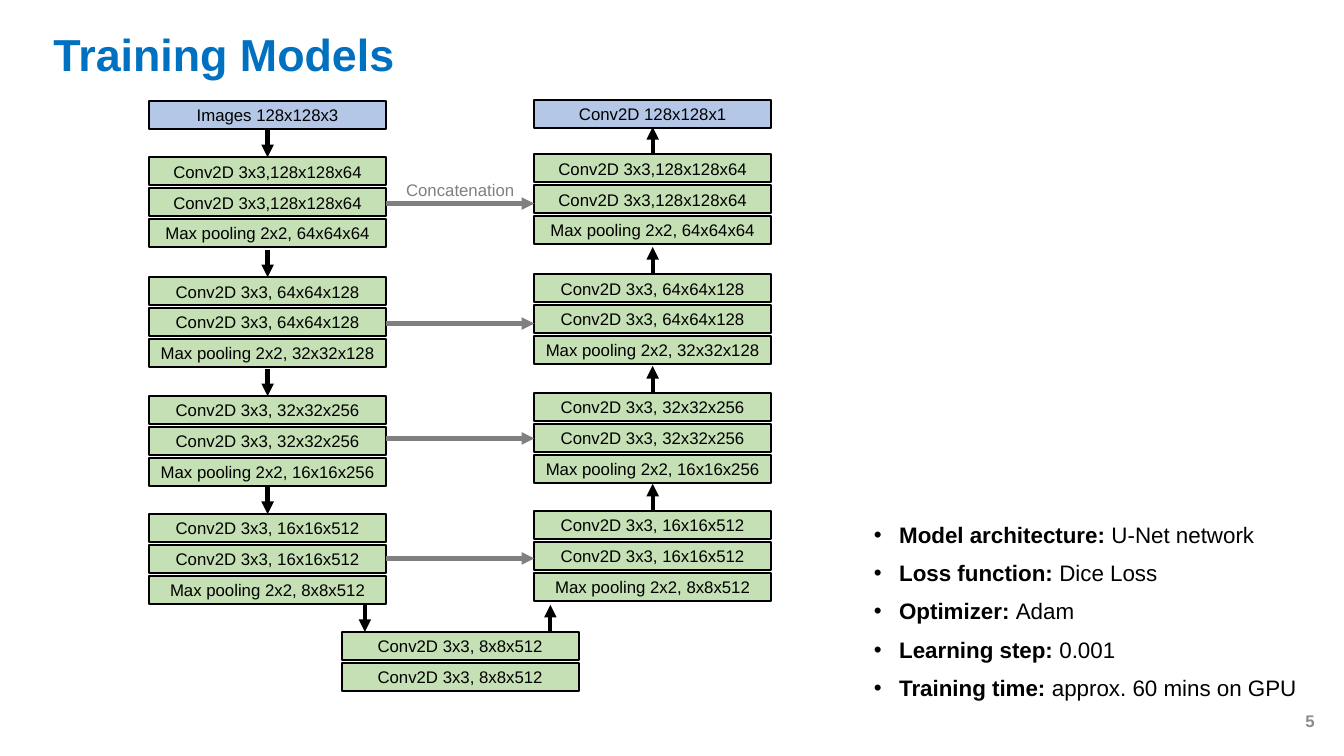
from dataclasses import dataclass

from lxml import etree
from pptx import Presentation
from pptx.dml.color import RGBColor
from pptx.enum.shapes import MSO_CONNECTOR, MSO_SHAPE
from pptx.enum.text import MSO_ANCHOR, MSO_AUTO_SIZE, PP_ALIGN
from pptx.oxml.ns import qn
from pptx.util import Inches, Pt

RECT = MSO_SHAPE.RECTANGLE
LINE = MSO_CONNECTOR.STRAIGHT
MIDDLE, TOP = MSO_ANCHOR.MIDDLE, MSO_ANCHOR.TOP
LEFT, CENTER, RIGHT = PP_ALIGN.LEFT, PP_ALIGN.CENTER, PP_ALIGN.RIGHT
NO_FIT = MSO_AUTO_SIZE.NONE


@dataclass(frozen=True)
class Theme:
    font: str = "Arial"
    title: str = "0070C0"
    ink: str = "000000"
    gray: str = "808080"
    page: str = "8C8C8C"
    blue: str = "B4C7E7"
    green: str = "C5E0B4"
    head: int = 32
    body: int = 16
    label: int = 12
    edge: float = 1.5
    arrow: int = 3


@dataclass(frozen=True)
class Tier:
    row: float
    skip: float
    layers: tuple[str, ...]


@dataclass(frozen=True)
class Arrow:
    x1: float
    y1: float
    x2: float
    y2: float
    color: str


THEME = Theme()

# Grid: ten columns and ten rows to the inch
CELL = Inches(0.1)
COLS, ROWS = 133.33, 75
DOWN, UP = 14.8, 53
WIDE, HIGH = 23.5, 2.8
STEP, GAP, LIFT = 3.07, 2.7, 0.3
BASE_COL, BASE_ROW = 33.9, 62.7

CONV = "Conv2D 3x3,128x128x64"
BASE = "Conv2D 3x3, 8x8x512"
TIERS = (
    Tier(15.6, 20.2, (CONV, CONV, "Max pooling 2x2, 64x64x64")),
    Tier(27.5, 32.1, ("Conv2D 3x3, 64x64x128",) * 2 + ("Max pooling 2x2, 32x32x128",)),
    Tier(39.3, 43.5, ("Conv2D 3x3, 32x32x256",) * 2 + ("Max pooling 2x2, 16x16x256",)),
    Tier(51.0, 55.4, ("Conv2D 3x3, 16x16x512",) * 2 + ("Max pooling 2x2, 8x8x512",)),
)
FACTS = (
    ("Model architecture: ", "U-Net network"),
    ("Loss function: ", "Dice Loss"),
    ("Optimizer: ", "Adam"),
    ("Learning step: ", "0.001"),
    ("Training time: ", "approx. 60 mins on GPU"),
)


def grid(cells: float) -> int:
    return round(cells * CELL)


def put(item, values: dict) -> None:
    for name, value in values.items():
        setattr(item, name, value)


def place(shape, x: float, y: float, w: float, h: float) -> None:
    put(shape, {"left": grid(x), "top": grid(y), "width": grid(w), "height": grid(h)})


def write(para, text: str, size: int, color: str, bold: bool = False) -> None:
    run = para.add_run()
    run.text = text
    put(run.font, {"name": THEME.font, "size": Pt(size), "bold": bold})
    run.font.color.rgb = RGBColor.from_string(color)


def fill_text(shape, text: str, size: int, color: str, bold: bool = False,
              align=LEFT, anchor=MIDDLE) -> None:
    frame = shape.text_frame
    put(frame, {"word_wrap": True, "auto_size": NO_FIT, "vertical_anchor": anchor})
    para = frame.paragraphs[0]
    para.alignment = align
    write(para, text, size, color, bold)


def draw_box(slide, x: float, y: float, text: str, color: str) -> None:
    box = slide.shapes.add_shape(RECT, grid(x), grid(y), grid(WIDE), grid(HIGH))
    box.shadow.inherit = False
    box.fill.solid()
    box.fill.fore_color.rgb = RGBColor.from_string(color)
    box.line.color.rgb = RGBColor.from_string(THEME.ink)
    box.line.width = Pt(THEME.edge)
    fill_text(box, text, THEME.label, THEME.ink, align=CENTER)


def draw_stack(slide, x: float, y: float, layers: tuple[str, ...]) -> None:
    for i, text in enumerate(layers):
        draw_box(slide, x, y + i * STEP, text, THEME.green)


def draw_arrow(slide, arrow: Arrow) -> None:
    ends = (grid(v) for v in (arrow.x1, arrow.y1, arrow.x2, arrow.y2))
    link = slide.shapes.add_connector(LINE, *ends)
    link.line.color.rgb = RGBColor.from_string(arrow.color)
    link.line.width = Pt(THEME.arrow)
    props = link._element.spPr
    etree.SubElement(props.find(qn("a:ln")), qn("a:tailEnd"), type="triangle")
    etree.SubElement(props, qn("a:effectLst"))


def draw_note(slide, x: float, y: float, w: float, h: float, text: str,
              color: str, **style) -> None:
    box = slide.shapes.add_textbox(grid(x), grid(y), grid(w), grid(h))
    fill_text(box, text, THEME.label, color, **style)


def draw_facts(body) -> None:
    place(body, 85.7, 51.5, 47.6, 22.1)
    frame = body.text_frame
    put(frame, {"word_wrap": True, "auto_size": NO_FIT, "vertical_anchor": TOP})
    for i, (name, value) in enumerate(FACTS):
        para = frame.add_paragraph() if i else frame.paragraphs[0]
        props = para._p.get_or_add_pPr()
        put(props, {"marL": grid(2.5), "indent": -grid(2.5)})
        props.set("marL", str(grid(2.5)))
        props.set("indent", str(-grid(2.5)))
        etree.SubElement(props, qn("a:buFont"), typeface=THEME.font)
        etree.SubElement(props, qn("a:buChar"), char="•")
        put(para, {"line_spacing": 0.9, "space_before": Pt(10 if i else 0),
                   "alignment": LEFT})
        write(para, name, THEME.body, THEME.ink, True)
        write(para, value, THEME.body, THEME.ink)


def draw_net(slide) -> None:
    mid = WIDE / 2
    ink, gray = THEME.ink, THEME.gray

    # Input and output
    draw_box(slide, DOWN, 10, "Images 128x128x3", THEME.blue)
    draw_box(slide, UP, 9.9, "Conv2D 128x128x1", THEME.blue)

    # Encoder and decoder tiers with their links
    for tier in TIERS:
        low, high = tier.row, tier.row - LIFT
        draw_stack(slide, DOWN, low, tier.layers)
        draw_stack(slide, UP, high, tier.layers)
        for arrow in (
            Arrow(DOWN + mid, low - GAP, DOWN + mid, low, ink),
            Arrow(UP + mid, high, UP + mid, high - GAP, ink),
            Arrow(DOWN + WIDE, tier.skip, UP, tier.skip, gray),
        ):
            draw_arrow(slide, arrow)

    # Bottleneck
    draw_stack(slide, BASE_COL, BASE_ROW, (BASE, BASE))
    draw_arrow(slide, Arrow(36.2, BASE_ROW - GAP, 36.2, BASE_ROW, ink))
    draw_arrow(slide, Arrow(54.6, BASE_ROW, 54.6, BASE_ROW - GAP, ink))
    draw_note(slide, 39.3, 17.3, 14.9, 3, "Concatenation", gray, anchor=TOP)


def main() -> None:
    deck = Presentation()
    put(deck, {"slide_width": grid(COLS), "slide_height": grid(ROWS)})
    slide = deck.slides.add_slide(deck.slide_layouts[1])

    # Title, model facts and page number
    title = slide.shapes.title
    place(title, 4.3, 1.5, 36.7, 8.4)
    fill_text(title, "Training Models", THEME.head, THEME.title, True)
    title.text_frame.paragraphs[0].line_spacing = 0.9
    draw_facts(slide.placeholders[1])
    draw_note(slide, 101.4, 69.5, 30, 4, "5", THEME.page, bold=True, align=RIGHT)

    # Network diagram
    draw_net(slide)
    deck.save("out.pptx")


if __name__ == "__main__":
    main()
